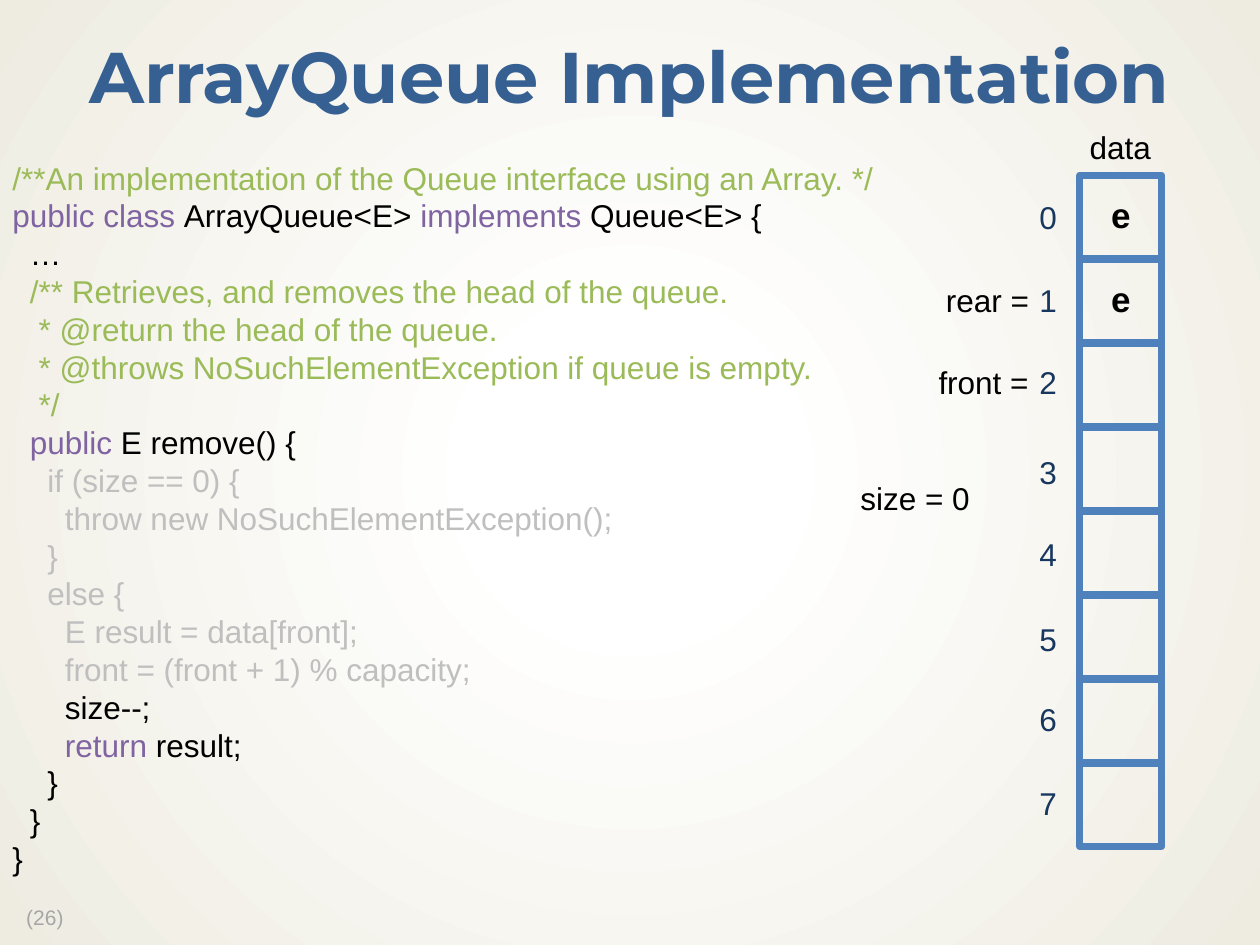
from typing import NamedTuple

from lxml.etree import SubElement
from pptx import Presentation
from pptx.dml.color import RGBColor
from pptx.enum.shapes import MSO_SHAPE
from pptx.enum.text import MSO_ANCHOR, MSO_AUTO_SIZE, PP_ALIGN
from pptx.oxml.ns import qn
from pptx.util import Inches, Pt

BLACK = RGBColor(0x00, 0x00, 0x00)
WHITE = RGBColor(0xFF, 0xFF, 0xFF)
CREAM = RGBColor(0xEE, 0xEC, 0xE1)
TITLE_BLUE = RGBColor(0x37, 0x60, 0x92)
CELL_BLUE = RGBColor(0x4F, 0x81, 0xBD)
INDEX_BLUE = RGBColor(0x17, 0x37, 0x5E)
COMMENT = RGBColor(0x9B, 0xBB, 0x59)
KEYWORD = RGBColor(0x80, 0x64, 0xA2)
FADED = RGBColor(0xBF, 0xBF, 0xBF)
PAGE_GREY = RGBColor(0xA6, 0xA6, 0xA6)

CELL_LEFT, CELL_TOP, CELL_PITCH = 8.57, 1.39, 0.667
CELL_WIDTH, CELL_HEIGHT = 0.65, 0.66


class Span(NamedTuple):
    text: str
    color: RGBColor = BLACK


class Label(NamedTuple):
    text: str
    left: float
    top: float
    width: float
    color: RGBColor = BLACK


class Cell(NamedTuple):
    index: str
    index_top: float
    value: str = ""


CELLS = [
    Cell("0", 1.52, "e"),
    Cell("1", 2.18, "e"),
    Cell("2", 2.83),
    Cell("3", 3.55),
    Cell("4", 4.2),
    Cell("5", 4.87),
    Cell("6", 5.51),
    Cell("7", 6.17),
]

LABELS = [
    Label("data", 8.55, 0.97, 0.69),
    Label("front =", 7.35, 2.83, 0.92),
    Label("rear =", 7.41, 2.18, 0.87),
    Label("size = 0", 6.73, 3.75, 1.08),
]

CODE = [
    [Span("/**An implementation of the Queue interface using an Array. */", COMMENT)],
    [Span("public class ", KEYWORD), Span("ArrayQueue<E> "),
     Span("implements ", KEYWORD), Span("Queue<E> {")],
    [Span("  …")],
    [Span("  /** Retrieves, and removes the head of the queue.", COMMENT)],
    [Span("   * @return the head of the queue.", COMMENT)],
    [Span("   * @throws NoSuchElementException if queue is empty.", COMMENT)],
    [Span("   */", COMMENT)],
    [Span("  public", KEYWORD), Span(" E remove() {")],
    [Span("    if (size == 0) {", FADED)],
    [Span("      throw new NoSuchElementException();", FADED)],
    [Span("    }", FADED)],
    [Span("    else {", FADED)],
    [Span("      E result = data[front];", FADED)],
    [Span("      front = (front + 1) % capacity;", FADED)],
    [Span("      size--;")],
    [Span("      return", KEYWORD), Span(" result;")],
    [Span("    }")],
    [Span("  }")],
    [Span("}")],
]


def write(frame, lines, *, size=18, font="Arial", bold=False, align=PP_ALIGN.LEFT,
          anchor=MSO_ANCHOR.TOP, spacing=None, wrap=False) -> None:
    """Fill a text frame with lines of coloured spans."""
    frame.word_wrap = wrap
    frame.auto_size = MSO_AUTO_SIZE.NONE if wrap else MSO_AUTO_SIZE.SHAPE_TO_FIT_TEXT
    frame.vertical_anchor = anchor
    for number, line in enumerate(lines):
        paragraph = frame.add_paragraph() if number else frame.paragraphs[0]
        paragraph.alignment = align
        paragraph.line_spacing = spacing
        for span in line:
            run = paragraph.add_run()
            run.text = span.text
            run.font.size = Pt(size)
            run.font.name = font
            run.font.bold = bold
            run.font.color.rgb = span.color


def add_frame(slide, left: float, top: float, width: float, height: float):
    """Add a text box and return its text frame."""
    return slide.shapes.add_textbox(
        Inches(left), Inches(top), Inches(width), Inches(height)).text_frame


def draw_label(slide, label: Label) -> None:
    """Draw a one-line label."""
    frame = add_frame(slide, label.left, label.top, label.width, 0.4)
    write(frame, [[Span(label.text, label.color)]])


def draw_cell(slide, position: int, cell: Cell) -> None:
    """Draw one array cell with its index."""
    square = slide.shapes.add_shape(
        MSO_SHAPE.RECTANGLE, Inches(CELL_LEFT), Inches(CELL_TOP + position * CELL_PITCH),
        Inches(CELL_WIDTH), Inches(CELL_HEIGHT))
    square.shadow.inherit = False
    square.fill.background()
    square.line.color.rgb = CELL_BLUE
    square.line.width = Pt(4)
    if cell.value:
        write(square.text_frame, [[Span(cell.value)]], size=20, bold=True,
              align=PP_ALIGN.CENTER, anchor=MSO_ANCHOR.MIDDLE, spacing=0.9, wrap=True)
    draw_label(slide, Label(cell.index, 8.15, cell.index_top, 0.34, INDEX_BLUE))


def paint_background(slide) -> None:
    """Give the slide a circular gradient from white to cream."""
    fill = slide.background.fill
    fill.gradient()
    for stop, position, color in zip(fill.gradient_stops, (0.18, 1), (WHITE, CREAM)):
        stop.position = position
        stop.color.rgb = color
    linear = next(slide.element.iter(qn("a:lin")))
    gradient = linear.getparent()
    gradient.remove(linear)
    circle = SubElement(gradient, qn("a:path"), {"path": "circle"})
    SubElement(circle, qn("a:fillToRect"), dict.fromkeys("ltrb", "50000"))


def main() -> None:
    """Build the slide and save it."""
    presentation = Presentation()
    presentation.slide_width, presentation.slide_height = Inches(10), Inches(7.5)
    slide = presentation.slides.add_slide(presentation.slide_layouts[6])
    paint_background(slide)
    write(add_frame(slide, 0.11, 7.15, 0.52, 0.28), [[Span("(26)", PAGE_GREY)]],
          size=12, spacing=0.9)
    write(add_frame(slide, 0, 0.17, 10, 0.94),
          [[Span("ArrayQueue Implementation", TITLE_BLUE)]],
          size=41, font="Montserrat", bold=True, align=PP_ALIGN.CENTER,
          anchor=MSO_ANCHOR.MIDDLE, spacing=0.9, wrap=True)
    for position, cell in enumerate(CELLS):
        draw_cell(slide, position, cell)
    write(add_frame(slide, 0, 1.21, 7.12, 5.86), CODE, spacing=Pt(21.6))
    for label in LABELS:
        draw_label(slide, label)
    presentation.save("out.pptx")


if __name__ == "__main__":
    main()
